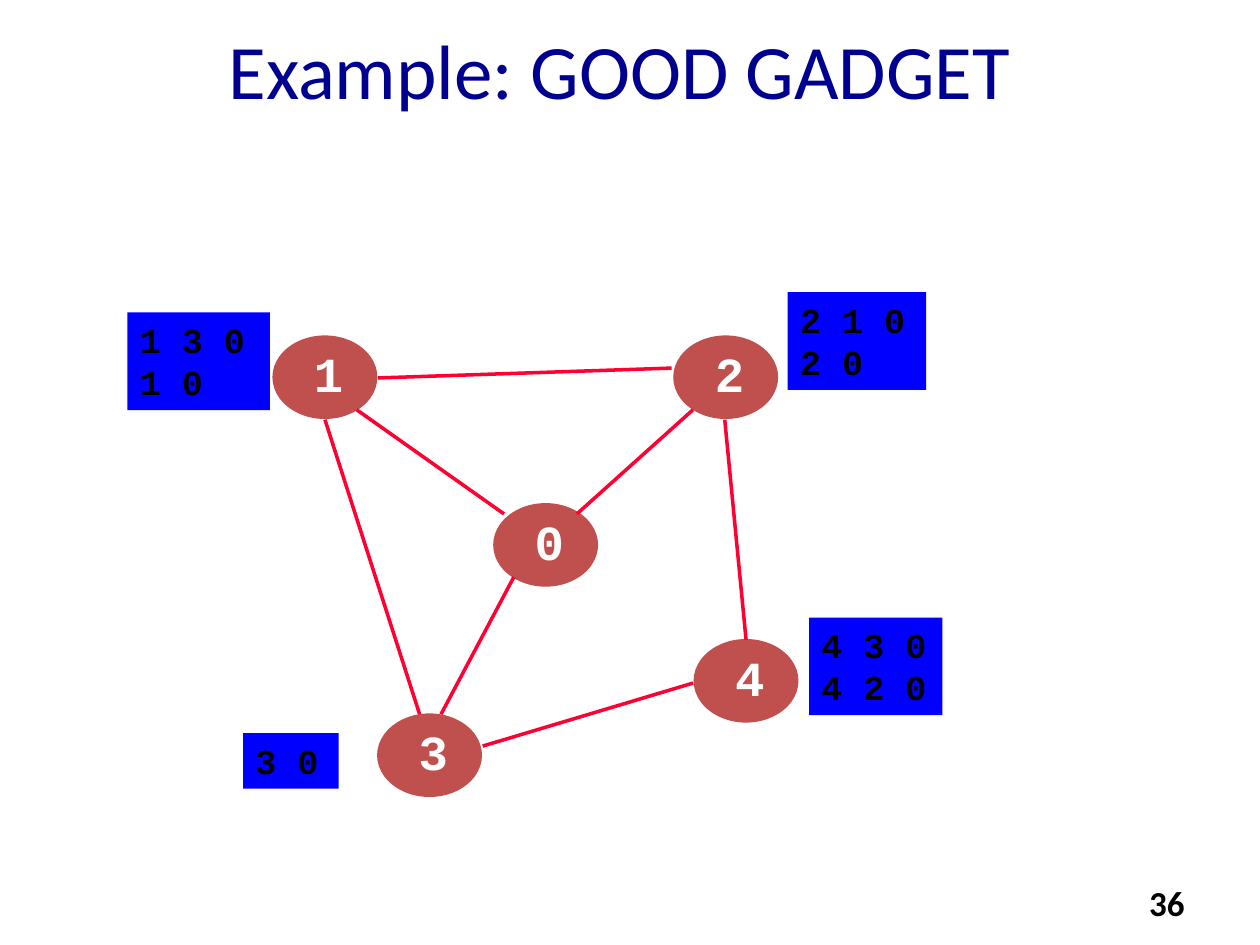
from pptx import Presentation
from pptx.dml.color import RGBColor
from pptx.enum.shapes import MSO_CONNECTOR as CONNECTOR, MSO_SHAPE as SHAPE
from pptx.enum.text import MSO_ANCHOR as ANCHOR, MSO_AUTO_SIZE as AUTO, PP_ALIGN as ALIGN
from pptx.oxml.ns import qn
from pptx.util import Cm, Pt
from lxml.etree import SubElement

COLORS = {"title": "000090", "node": "C0504D", "digit": "FFFFFF",
          "edge": "FF0033", "routes": "0000FF", "text": "000000"}
NODE_SIZE = (2.08, 1.65)
NODES = {"1": (2.94, 0.89), "2": (11.02, 0.89), "4": (11.43, 7.01),
         "3": (5.05, 8.51), "0": (7.39, 4.27)}
EDGES = [((4.62, 2.37), (7.59, 4.47)), ((5.05, 1.73), (10.97, 1.53)),
         ((9.06, 4.47), (11.4, 2.37)), ((12.47, 7.01), (12.04, 2.57)),
         ((5.89, 8.51), (3.98, 2.57)), ((11.4, 7.88), (7.16, 9.15)),
         ((6.32, 8.51), (7.79, 5.74))]
ROUTES = [(13.31, 0, 2.79, ["2 1 0", "2 0"]), (0, 0.41, 2.87, ["1 3 0", "1 0"]),
          (13.74, 6.56, 2.69, ["4 3 0", "4 2 0"]), (2.33, 8.89, 1.93, ["3 0"])]


def color(key):
    """Return the palette colour for a key."""
    return RGBColor.from_string(COLORS[key])


def write(frame, lines, font_name, size, ink, bold=False, align=ALIGN.LEFT):
    """Fill a text frame with one formatted paragraph per line."""
    frame.text = "\n".join(lines)
    for paragraph in frame.paragraphs:
        paragraph.alignment = align
        font = paragraph.font
        font.name, font.size, font.bold = font_name, Pt(size), bold
        font.color.rgb = color(ink)


def add_title(slide, left, top, width, height):
    """Place the slide title in its placeholder."""
    title = slide.shapes.title
    title.left, title.top, title.width, title.height = map(Cm, (left, top, width, height))
    write(title.text_frame, ["Example: GOOD GADGET"], "Calibri", 44, "title", align=ALIGN.CENTER)
    title.text_frame.vertical_anchor = ANCHOR.MIDDLE
    title.text_frame.auto_size = AUTO.NONE


def add_page_number(slide, left, top, width, height):
    """Place the page number at the right of its box."""
    number = slide.shapes.add_textbox(*map(Cm, (left, top, width, height))).text_frame
    number.word_wrap = True
    write(number, ["36"], "Calibri", 20, "text", bold=True, align=ALIGN.RIGHT)


def add_node(slide, left, top, digit):
    """Group an ellipse with its digit."""
    group = slide.shapes.add_group_shape().shapes
    ellipse = group.add_shape(SHAPE.OVAL, *map(Cm, (left, top, *NODE_SIZE)))
    ellipse.shadow.inherit = False
    ellipse.fill.solid()
    ellipse.fill.fore_color.rgb = ellipse.line.color.rgb = color("node")
    ellipse.line.width = Pt(1)
    label = group.add_textbox(*map(Cm, (left + 0.57, top + 0.03, 1.07, 1.45))).text_frame
    label.word_wrap = False
    write(label, [digit], "Courier New", 28, "digit", bold=True)


def add_edge(slide, left, top, start, end):
    """Draw a link between two points of the graph."""
    points = [Cm(origin + offset) for point in (start, end)
              for origin, offset in zip((left, top), point)]
    edge = slide.shapes.add_connector(CONNECTOR.STRAIGHT, *points)
    edge.line.color.rgb = color("edge")
    edge.line.width = Pt(2)
    SubElement(edge._element.spPr, qn("a:effectLst"))


def add_routes(slide, left, top, width, lines):
    """Place the ranked routes of a node, as tall as their lines need."""
    height = 0.27 + 0.85 * len(lines)
    routes = slide.shapes.add_shape(SHAPE.RECTANGLE, *map(Cm, (left, top, width, height)))
    routes.shadow.inherit = False
    routes.fill.solid()
    routes.fill.fore_color.rgb = color("routes")
    routes.line.fill.background()
    routes.text_frame.vertical_anchor = ANCHOR.TOP
    write(routes.text_frame, lines, "Courier New", 20, "text", bold=True)


def add_graph(slide, left, top):
    """Place nodes, links and routes relative to the graph's corner."""
    for digit, (x, y) in NODES.items():
        add_node(slide, left + x, top + y, digit)
    for start, end in EDGES:
        add_edge(slide, left, top, start, end)
    for x, y, width, lines in ROUTES:
        add_routes(slide, left + x, top + y, width, lines)


def main():
    """Build the slide and save it."""
    deck = Presentation()
    deck.slide_width, deck.slide_height = Cm(25.4), Cm(19.05)
    slide = deck.slides.add_slide(deck.slide_layouts[5])
    add_page_number(slide, 18.21, 17.65, 5.92, 1.02)
    add_title(slide, 0.43, 0.84, 24.13, 1.07)
    add_graph(slide, 2.57, 5.89)
    deck.save("out.pptx")


if __name__ == "__main__":
    main()
